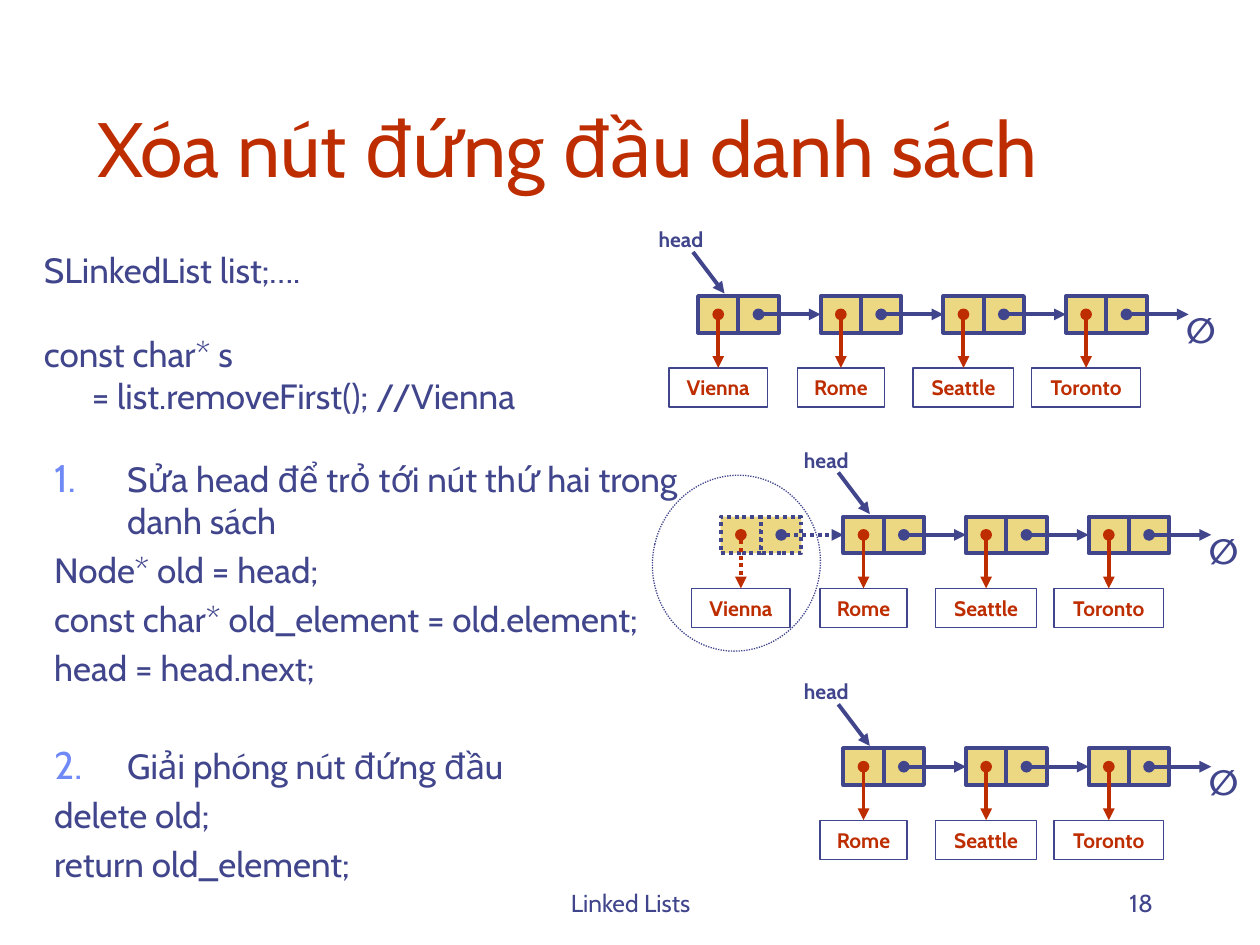
from pptx import Presentation
from pptx.dml.color import RGBColor
from pptx.enum.dml import MSO_LINE
from pptx.enum.shapes import MSO_CONNECTOR, MSO_SHAPE
from pptx.enum.text import MSO_ANCHOR, MSO_AUTO_SIZE, PP_ALIGN
from pptx.oxml.ns import qn
from pptx.util import Inches, Pt
from lxml import etree

NAVY = RGBColor(0x40, 0x45, 0x8C)
RED = RGBColor(0xBE, 0x2D, 0x00)
GOLD = RGBColor(0xEC, 0xD8, 0x82)
FONT = "Cabin"
LEFT, MID, RIGHT = PP_ALIGN.LEFT, PP_ALIGN.CENTER, PP_ALIGN.RIGHT
TOP, CENTER, BOTTOM = MSO_ANCHOR.TOP, MSO_ANCHOR.MIDDLE, MSO_ANCHOR.BOTTOM
NONE, GROW = MSO_AUTO_SIZE.NONE, MSO_AUTO_SIZE.SHAPE_TO_FIT_TEXT
RECT, OVAL = MSO_SHAPE.RECTANGLE, MSO_SHAPE.OVAL
DOTS = MSO_LINE.ROUND_DOT
STRAIGHT = MSO_CONNECTOR.STRAIGHT

TITLE = "Xóa nút đứng đầu danh sách"
CODE = [
    ("SLinkedList list;….", 0, 0),
    ("const char* s", 0, 24),
    ("= list.removeFirst(); //Vienna", 0.38, 0),
]
STEPS = [
    ("Sửa head để trỏ tới nút thứ hai trong danh sách", 1, 4),
    ("Node* old = head;", 0, 4),
    ("const char* old_element = old.element;", 0, 4),
    ("head = head.next;", 0, 4),
    ("Giải phóng nút đứng đầu", 2, 32),
    ("delete old;", 0, 4),
    ("return old_element;", 0, 4),
]
FOOT = [("Linked Lists", 3.42, 3.17, MID), ("18", 7.17, 2.08, RIGHT)]
WIDTHS = {"Vienna": 0.78, "Rome": 0.69, "Seattle": 0.8, "Toronto": 0.87}
CITIES = list(WIDTHS)
PITCH = 2.92 / 3
LISTS = [
    (5.54, 2.35, CITIES, 0),
    (5.72, 4.1, CITIES, 1),
    (5.72 + PITCH, 5.94, CITIES[1:], 0),
]
CELL, TALL = 0.32, 0.29
DROP = 0.57

prs = Presentation()
prs.slide_width, prs.slide_height = Inches(10), Inches(7.5)
slide = prs.slides.add_slide(prs.slide_layouts[1])
shapes = slide.shapes


def place(shape, *box):
    shape.left, shape.top, shape.width, shape.height = map(Inches, box)


def setup(frame, anchor=TOP, wrap=True, size=NONE):
    frame.word_wrap = wrap
    frame.auto_size = size
    frame.vertical_anchor = anchor


def write(par, text, size, color=NAVY, bold=False, align=LEFT):
    par.alignment = align
    run = par.add_run()
    run.text = text
    font = run.font
    font.name, font.size, font.bold = FONT, Pt(size), bold
    font.color.rgb = color


def fill_list(frame, items):
    for pos, (text, mark, gap) in enumerate(items):
        par = frame.paragraphs[0] if pos == 0 else frame.add_paragraph()
        write(par, text, 20)
        par.space_before = Pt(gap)
        yield par.get_or_add_pPr() if hasattr(par, "get_or_add_pPr") else par._p.get_or_add_pPr(), mark


def indent(props, margin, first):
    props.set("marL", str(Inches(margin)))
    props.set("indent", str(Inches(first)))


def number(props, mark):
    if not mark:
        etree.SubElement(props, qn("a:buNone"))
        return
    tint = etree.SubElement(props, qn("a:buClr"))
    etree.SubElement(tint, qn("a:srgbClr"), val="6F89F7")
    etree.SubElement(props, qn("a:buSzPct"), val="110000")
    etree.SubElement(props, qn("a:buFont"), typeface=FONT)
    etree.SubElement(props, qn("a:buAutoNum"), type="arabicPeriod", startAt=str(mark))


def label(text, box, size, anchor=TOP, align=MID, bold=False, wrap=False):
    item = shapes.add_textbox(*map(Inches, box))
    setup(item.text_frame, anchor, wrap, NONE if wrap else GROW)
    write(item.text_frame.paragraphs[0], text, size, NAVY, bold, align)


def outline(kind, box, width, fill=None, dotted=False):
    item = shapes.add_shape(kind, *map(Inches, box))
    item.shadow.inherit = False
    if fill is None:
        item.fill.background()
    else:
        item.fill.solid()
        item.fill.fore_color.rgb = fill
    item.line.color.rgb = NAVY
    item.line.width = Pt(width)
    if dotted:
        item.line.dash_style = DOTS
    return item


def arrow(start, end, color=NAVY, dotted=False, dot=True):
    item = shapes.add_connector(STRAIGHT, *map(Inches, start + end))
    item.line.color.rgb = color
    item.line.width = Pt(2.25)
    if dotted:
        item.line.dash_style = DOTS
    props = item._element.spPr
    line = props.find(qn("a:ln"))
    if dot:
        etree.SubElement(line, qn("a:headEnd"), type="oval")
    etree.SubElement(line, qn("a:tailEnd"), type="triangle")
    etree.SubElement(props, qn("a:effectLst"))
    return item


def draw_list(left, top, names, head):
    mid = top + TALL / 2
    cells, tags = [], []
    for pos, name in enumerate(names):
        x = left + pos * PITCH
        faded = pos < head
        cells.append(outline(RECT, (x, top, CELL, TALL), 2.25, GOLD, faded))
        outline(RECT, (x + CELL, top, CELL, TALL), 2.25, GOLD, faded)
        wide = WIDTHS[name]
        tag = outline(RECT, (x + CELL / 2 - wide / 2, top + DROP, wide, 0.31), 0.75)
        setup(tag.text_frame, CENTER, False, GROW)
        write(tag.text_frame.paragraphs[0], name, 12, RED, True, MID)
        tags.append(tag)
    for pos, tag in enumerate(tags):
        x = left + pos * PITCH
        faded = pos < head
        data = x + CELL / 2
        down = arrow((data, mid), (data, top + DROP), RED, faded)
        down.end_connect(tag, 0)
        link = arrow((data + CELL, mid), (x + PITCH, mid), NAVY, faded)
        if pos + 1 < len(cells):
            link.end_connect(cells[pos + 1], 1)
    end = left + len(names) * PITCH
    label("∅", (end - 0.12, top + 0.05, 0.43, 0.43), 20, bold=True)
    x = left + head * PITCH
    arrow((x - 0.04, top - 0.35), (x + 0.21, top - 0.02), dot=False)
    label("head", (x - 0.44, top - 0.6, 0.61, 0.3), 12, bold=True)


title, body = slide.placeholders[0], slide.placeholders[1]
place(title, 0.67, 0.33, 8.5, 1.25)
setup(title.text_frame, BOTTOM)
write(title.text_frame.paragraphs[0], TITLE, 44, RED)

place(body, 0.33, 3.58, 5.17, 3.67)
setup(body.text_frame)
for props, mark in fill_list(body.text_frame, STEPS):
    indent(props, 0.58, -0.58)
    number(props, mark)

code = shapes.add_textbox(*map(Inches, (0.25, 1.92, 4.42, 1.45)))
setup(code.text_frame, size=GROW)
for props, margin in fill_list(code.text_frame, CODE):
    indent(props, margin, 0)

for text, left, wide, align in FOOT:
    label(text, (left, 6.83, wide, 0.5), 14, BOTTOM, align, wrap=True)

for row in LISTS:
    draw_list(*row)
ring = outline(OVAL, (5.18, 3.77, 1.33, 1.4), 0.75, dotted=True)
ring.rotation = 13

prs.save("out.pptx")
